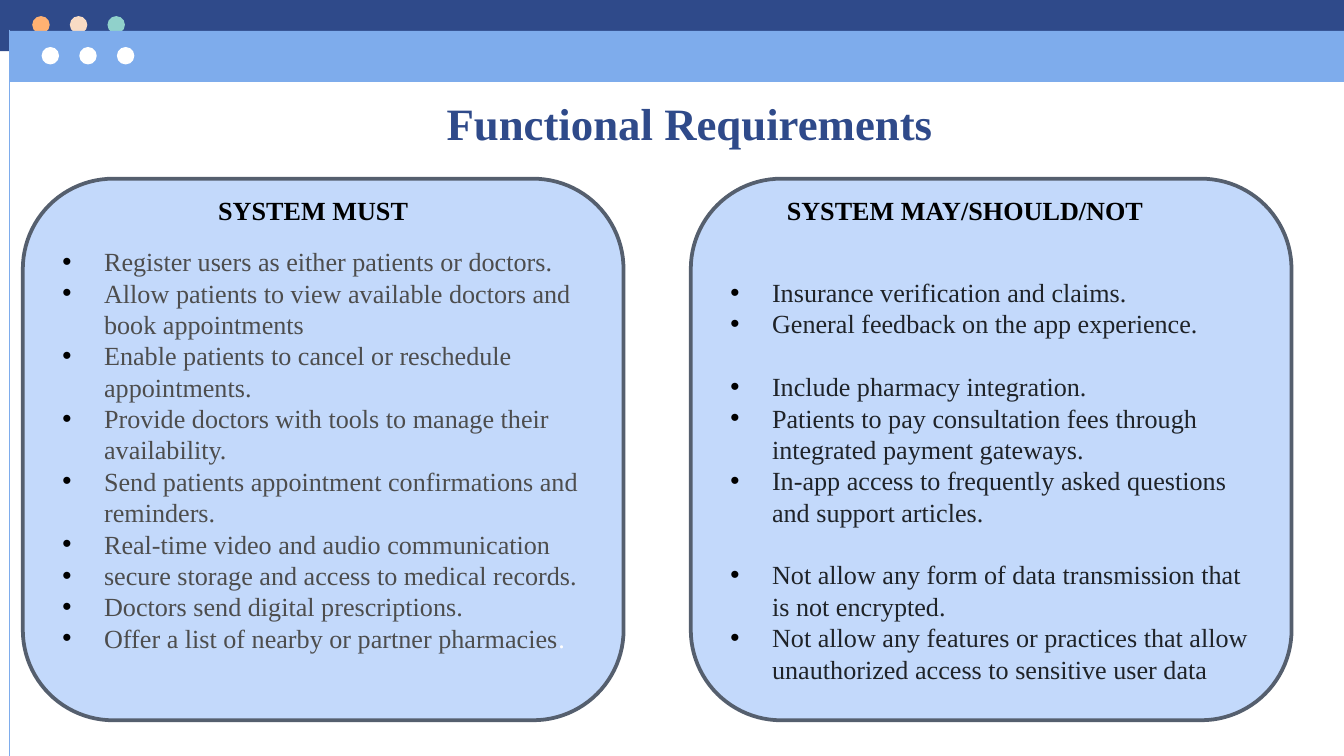
from lxml.etree import SubElement
from pptx import Presentation
from pptx.dml.color import RGBColor
from pptx.enum.shapes import MSO_CONNECTOR, MSO_SHAPE
from pptx.enum.text import MSO_ANCHOR, MSO_AUTO_SIZE, PP_ALIGN
from pptx.oxml.ns import qn
from pptx.util import Inches, Pt

FONT = "Times New Roman"
LINE_HEIGHT = Pt(16.8)
NAVY = RGBColor(0x2F, 0x4A, 0x8A)
BLUE = RGBColor(0x7E, 0xAC, 0xEC)
PALE_BLUE = RGBColor(0xC3, 0xD9, 0xFB)
SLATE = RGBColor(0x55, 0x5F, 0x6E)
ORANGE = RGBColor(0xFF, 0xB1, 0x72)
PEACH = RGBColor(0xF8, 0xDB, 0xC4)
TEAL = RGBColor(0x90, 0xD1, 0xCB)
WHITE = RGBColor(0xFF, 0xFF, 0xFF)
BLACK = RGBColor(0, 0, 0)
GREY = RGBColor(0x4D, 0x4D, 0x4D)
INK = RGBColor(0x1F, 0x23, 0x28)

MUST = [[
    "Register users as either patients or doctors.",
    "Allow patients to view available doctors and book appointments",
    "Enable patients to cancel or reschedule appointments.",
    "Provide doctors with tools to manage their availability.",
    "Send patients appointment confirmations and reminders.",
    "Real-time video and audio communication",
    "secure storage and access to medical records.",
    "Doctors send digital prescriptions.",
    "Offer a list of nearby or partner pharmacies",
]]
MAY_SHOULD_NOT = [
    ["Insurance verification and claims.",
     "General feedback on the app experience."],
    ["Include pharmacy integration.",
     "Patients to pay consultation fees through integrated payment gateways.",
     "In-app access to frequently asked questions and support articles."],
    ["Not allow any form of data transmission that is not encrypted.",
     "Not allow any features or practices that allow unauthorized access to sensitive user data"],
]


def add_filled(s, kind, x, y, w, h, color):
    sp = s.shapes.add_shape(kind, Inches(x), Inches(y), Inches(w), Inches(h))
    sp.shadow.inherit = False
    sp.fill.solid()
    sp.fill.fore_color.rgb = color
    sp.line.fill.background()
    return sp


def add_window_bar(s, x, y, w, color, dot_x, dot_colors):
    add_filled(s, MSO_SHAPE.RECTANGLE, x, y, w, 0.38, color)
    for i, dot_color in enumerate(dot_colors):
        add_filled(s, MSO_SHAPE.OVAL, dot_x + 0.28 * i, y + 0.12, 0.13, 0.13, dot_color)


def add_edge(s, bottom):
    line = s.shapes.add_connector(MSO_CONNECTOR.STRAIGHT, Inches(0.07), Inches(0.22),
                                  Inches(0.07), bottom)
    line.line.color.rgb = BLUE
    line.line.width = Pt(0.75)
    SubElement(line._element.spPr, qn("a:effectLst"))


def style_run(r, size, color, bold=False):
    r.font.name = FONT
    r.font.size = Pt(size)
    r.font.color.rgb = color
    r.font.bold = bold


def add_bullet(p):
    pPr = p._p.get_or_add_pPr()
    pPr.set("marL", str(Inches(0.31)))
    pPr.set("indent", str(-Inches(0.31)))
    color = SubElement(pPr, qn("a:buClr"))
    SubElement(color, qn("a:srgbClr")).set("val", str(BLACK))
    SubElement(pPr, qn("a:buFont")).set("typeface", "Arial")
    SubElement(pPr, qn("a:buChar")).set("char", "•")


def add_title(s, text):
    sp = s.shapes.title
    sp.left, sp.top, sp.width, sp.height = Inches(1.32), Inches(0.62), Inches(7.62), Inches(0.59)
    tf = sp.text_frame
    tf.text = text
    tf.auto_size = MSO_AUTO_SIZE.NONE
    tf.vertical_anchor = MSO_ANCHOR.BOTTOM
    tf.margin_left = tf.margin_right = tf.margin_top = tf.margin_bottom = Inches(0.1)
    p = tf.paragraphs[0]
    p.alignment = PP_ALIGN.CENTER
    style_run(p.runs[0], 24, NAVY, True)


def add_heading(s, x, text):
    tf = s.shapes.add_textbox(Inches(x), Inches(1.4), Inches(3.08), Inches(0.34)).text_frame
    tf.word_wrap = True
    tf.auto_size = MSO_AUTO_SIZE.SHAPE_TO_FIT_TEXT
    tf.text = text
    p = tf.paragraphs[0]
    p.alignment = PP_ALIGN.CENTER
    style_run(p.runs[0], 14, BLACK, True)


def add_panel(s, x, groups, color, top_margin):
    sp = add_filled(s, MSO_SHAPE.ROUNDED_RECTANGLE, x, 1.33, 4.47, 4.03, PALE_BLUE)
    sp.line.color.rgb = SLATE
    sp.line.width = Pt(2)
    tf = sp.text_frame
    tf.word_wrap = True
    tf.vertical_anchor = MSO_ANCHOR.MIDDLE
    tf.margin_top = Inches(top_margin)
    tf.text = "\n".join(item for group in groups for item in group)
    group_starts = {group[0] for group in groups[1:]}
    for p in tf.paragraphs:
        p.alignment = PP_ALIGN.LEFT
        p.line_spacing = LINE_HEIGHT
        p.space_before = LINE_HEIGHT if p.text in group_starts else Pt(0)
        add_bullet(p)
        style_run(p.runs[0], 14, color)
    return tf


def main():
    prs = Presentation()
    prs.slide_width = Inches(10)
    prs.slide_height = prs.slide_width * 9 // 16
    s = prs.slides.add_slide(prs.slide_layouts[5])

    add_window_bar(s, 0, 0, 10, NAVY, 0.24, [ORANGE, PEACH, TEAL])
    add_window_bar(s, 0.07, 0.23, 9.93, BLUE, 0.31, [WHITE] * 3)
    add_edge(s, prs.slide_height)
    add_title(s, "Functional Requirements")

    must = add_panel(s, 0.17, MUST, GREY, 0.05)
    r = must.paragraphs[-1].add_run()
    r.text = "."
    style_run(r, 14, WHITE)
    add_panel(s, 5.14, MAY_SHOULD_NOT, INK, 0.51)

    add_heading(s, 0.79, "SYSTEM MUST")
    add_heading(s, 5.64, "SYSTEM MAY/SHOULD/NOT")
    prs.save("out.pptx")


if __name__ == "__main__":
    main()
